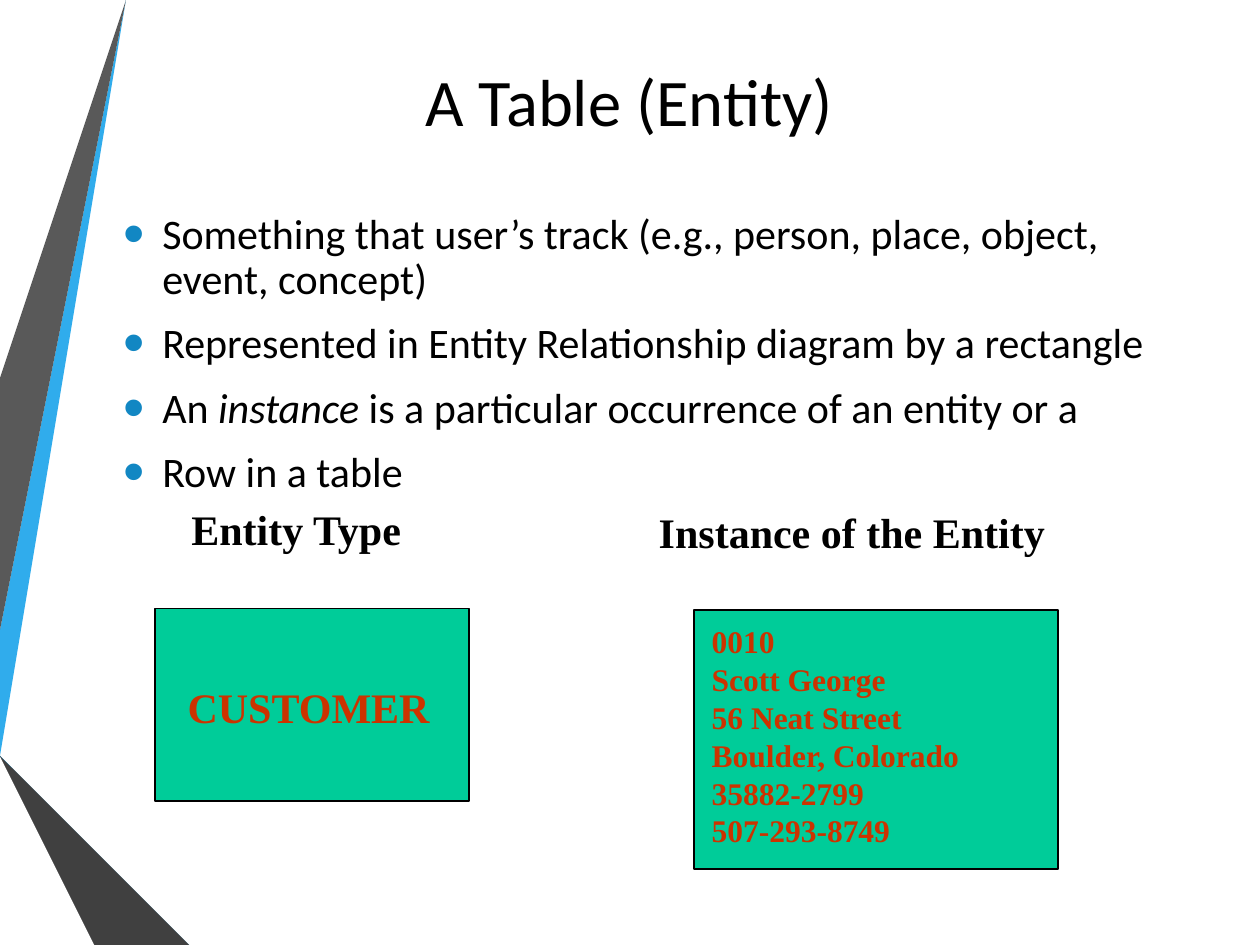
"""Build the slide that explains a table as an entity."""
from dataclasses import dataclass

import pptx
import pptx.dml.color
import pptx.enum.shapes
import pptx.enum.text
import pptx.oxml
import pptx.oxml.ns
import pptx.util
from pptx.dml.color import RGBColor
from pptx.util import Inches

BLACK = RGBColor(0x00, 0x00, 0x00)
GREEN = RGBColor(0x00, 0xCC, 0x99)
RUST = RGBColor(0xCC, 0x33, 0x00)
SKY = RGBColor(0x30, 0xAC, 0xEC)
BLUE = RGBColor(0x12, 0x87, 0xC3)
DEEP_BLUE = RGBColor(0x0C, 0x5A, 0x82)
GREY = RGBColor(0x59, 0x59, 0x59)
DARK_GREY = RGBColor(0x40, 0x40, 0x40)
CHARCOAL = RGBColor(0x26, 0x26, 0x26)
SANS = "Calibri"
SERIF = "Times New Roman"


@dataclass(frozen=True)
class Ribbon:
    color: RGBColor
    points: tuple[tuple[float, float], ...]


@dataclass(frozen=True)
class Area:
    left: float
    top: float
    width: float
    height: float

    def lengths(self) -> tuple[int, ...]:
        return tuple(map(Inches, (self.left, self.top, self.width, self.height)))


@dataclass(frozen=True)
class Entity:
    heading: str
    heading_area: Area
    card: Area
    label: Area
    lines: tuple[str, ...]
    size: int


RIBBONS = (
    Ribbon(SKY, ((0, 5.44), (0, 5.75), (0.22, 5.79), (1.17, 0), (0.89, 0))),
    Ribbon(GREY, ((0.83, 0), (0.55, 0), (0, 3.36), (0, 5.06))),
    Ribbon(CHARCOAL, ((0, 6.19), (0, 6.21), (0.93, 7.5), (0.99, 7.5))),
    Ribbon(DEEP_BLUE, ((0, 5.79), (0, 5.8), (1.56, 7.5), (1.63, 7.5))),
    Ribbon(BLUE, ((0, 5.79), (1.63, 7.5), (2.33, 7.5), (0.22, 5.79), (0, 5.75))),
    Ribbon(DARK_GREY, ((0, 6.19), (0.99, 7.5), (1.51, 7.5), (0, 5.86))),
)

BULLETS = (
    (("Something that user’s track (e.g., person, place, object, event, concept)", False),),
    (("Represented in Entity Relationship diagram by a rectangle", False),),
    (("An ", False), ("instance", True), (" is a particular occurrence of an entity or a", False)),
    (("Row in a table", False),),
)

ENTITIES = (
    Entity("Entity Type", Area(1.42, 3.95, 1.88, 0.51), Area(1.23, 4.83, 2.49, 1.53),
           Area(1.39, 5.36, 2.13, 0.5), ("CUSTOMER",), 24),
    Entity("Instance of the Entity", Area(5.13, 3.97, 3.3, 0.51), Area(5.51, 4.84, 2.89, 2.06),
           Area(5.55, 4.89, 2.19, 1.92),
           ("0010", "Scott George", "56 Neat Street", "Boulder, Colorado",
            "35882-2799", "507-293-8749"), 18),
)


def set_font(paragraph, name: str, size: int, color: RGBColor, bold: bool = False) -> None:
    font = paragraph.font
    font.name, font.size, font.bold = name, pptx.util.Pt(size), bold
    font.color.rgb = color


def add_ribbon(page, ribbon: Ribbon) -> None:
    builder = page.shapes.build_freeform(*ribbon.points[0], scale=Inches(1))
    builder.add_line_segments(ribbon.points[1:], close=True)
    shape = builder.convert_to_shape()
    shape.shadow.inherit = False
    shape.fill.solid()
    shape.fill.fore_color.rgb = ribbon.color
    shape.line.fill.background()


def format_title(page) -> None:
    title = page.shapes.title
    title.left, title.top, title.width, title.height = Area(0.08, 0.42, 9.83, 0.75).lengths()
    title.text_frame.text = "A Table (Entity)"
    title.text_frame.vertical_anchor = pptx.enum.text.MSO_ANCHOR.MIDDLE
    para = title.text_frame.paragraphs[0]
    para.alignment = pptx.enum.text.PP_ALIGN.CENTER
    set_font(para, SANS, 38, BLACK)


def add_bullet(paragraph) -> None:
    properties = paragraph._p.get_or_add_pPr()
    properties.set("marL", str(Inches(0.31)))
    properties.set("indent", str(-Inches(0.31)))
    namespace = pptx.oxml.ns.nsdecls("a")
    for xml in (
        f'<a:buClr {namespace}><a:srgbClr val="{BLUE}"/></a:buClr>',
        f'<a:buSzPct {namespace} val="145000"/>',
        f'<a:buFont {namespace} typeface="Arial"/>',
        f'<a:buChar {namespace} char="•"/>',
    ):
        properties.append(pptx.oxml.parse_xml(xml))


def add_bullets(page) -> None:
    frame = page.shapes.add_textbox(*Area(0.88, 1.42, 8.5, 2.79).lengths()).text_frame
    frame.word_wrap = True
    frame.vertical_anchor = pptx.enum.text.MSO_ANCHOR.MIDDLE
    for index, spans in enumerate(BULLETS):
        para = frame.add_paragraph() if index else frame.paragraphs[0]
        add_bullet(para)
        para.line_spacing = 0.9
        para.space_before = pptx.util.Pt(4.8 if index else 0)
        para.space_after = pptx.util.Pt(6)
        set_font(para, SANS, 24, BLACK)
        for text, italic in spans:
            span = para.add_run()
            span.text = text
            if italic:
                span.font.italic = True


def add_rectangle(page, area: Area, outlined: bool):
    box = page.shapes.add_shape(pptx.enum.shapes.MSO_SHAPE.RECTANGLE, *area.lengths())
    box.shadow.inherit = False
    box.fill.solid()
    box.fill.fore_color.rgb = GREEN
    if outlined:
        box.line.color.rgb = BLACK
        box.line.width = pptx.util.Pt(1)
    else:
        box.line.fill.background()
    return box


def write_lines(box, lines: tuple[str, ...], size: int, color: RGBColor) -> None:
    frame = box.text_frame
    frame.word_wrap = False
    frame.vertical_anchor = pptx.enum.text.MSO_ANCHOR.TOP
    frame.text = "\n".join(lines)
    for para in frame.paragraphs:
        para.alignment = pptx.enum.text.PP_ALIGN.LEFT
        set_font(para, SERIF, size, color, bold=True)


def add_entity(page, entity: Entity) -> None:
    add_rectangle(page, entity.card, outlined=True)
    label = add_rectangle(page, entity.label, outlined=False)
    write_lines(label, entity.lines, entity.size, RUST)
    heading = page.shapes.add_textbox(*entity.heading_area.lengths())
    write_lines(heading, (entity.heading,), 24, BLACK)


def main() -> None:
    deck = pptx.Presentation()
    deck.slide_width, deck.slide_height = Inches(10), Inches(7.5)
    page = deck.slides.add_slide(deck.slide_layouts.get_by_name("Title Only"))
    for ribbon in RIBBONS:
        add_ribbon(page, ribbon)
    format_title(page)
    add_bullets(page)
    for entity in ENTITIES:
        add_entity(page, entity)
    deck.save("out.pptx")


if __name__ == "__main__":
    main()
